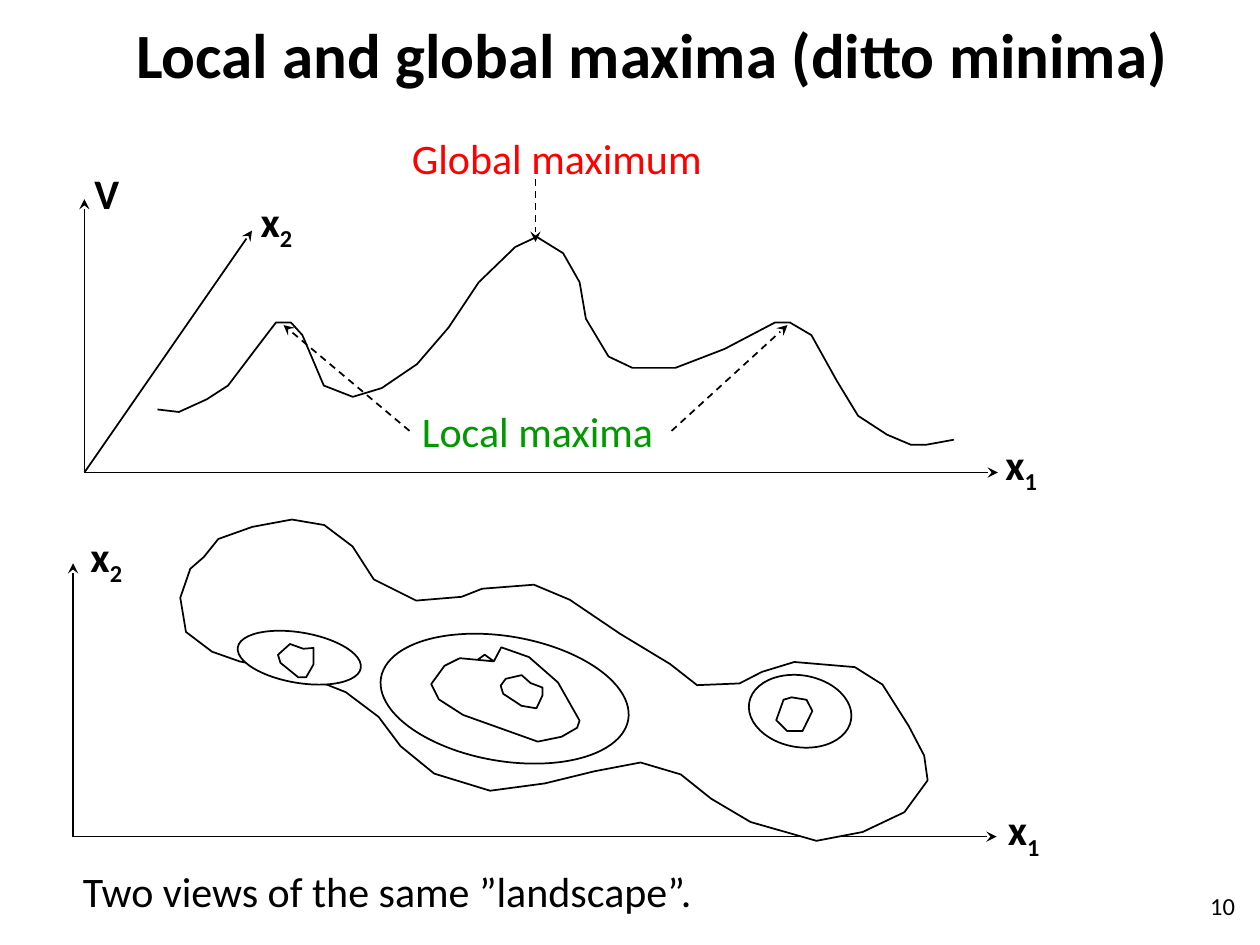
from lxml.etree import SubElement
from pptx import Presentation
from pptx.dml.color import RGBColor
from pptx.enum.dml import MSO_LINE
from pptx.enum.shapes import MSO_CONNECTOR, MSO_SHAPE
from pptx.enum.text import MSO_ANCHOR, PP_ALIGN
from pptx.oxml.ns import qn
from pptx.util import Inches, Pt

COLORS = {"ink": "000000", "paper": "FFFFFF", "peak": "FF0000", "local": "009900"}
FONT = "Calibri"
TILT = 9.6

RIDGE = [
    (125, 225), (142, 227), (164, 217), (181, 206), (206, 173), (219, 156), (231, 156),
    (240, 166), (257, 206), (280, 215), (303, 208), (331, 189), (356, 160), (380, 124),
    (409, 96), (426, 88), (447, 101), (460, 124), (465, 153), (483, 183), (502, 192),
    (536, 192), (575, 177), (615, 156), (627, 156), (644, 166), (664, 202), (681, 230),
    (704, 245), (723, 253), (735, 253), (757, 249)]
COAST = [
    (149, 90), (158, 74), (183, 60), (213, 49), (239, 49), (264, 62), (285, 85),
    (321, 96), (356, 87), (371, 78), (411, 68), (441, 75), (485, 95), (528, 112),
    (552, 125), (585, 118), (601, 106), (625, 94), (673, 90), (697, 100), (723, 129),
    (739, 150), (745, 169), (731, 197), (701, 218), (666, 231), (612, 225), (578, 212),
    (551, 197), (518, 193), (483, 206), (446, 222), (404, 235), (358, 229), (328, 212),
    (307, 192), (278, 177), (236, 168), (191, 167), (168, 163), (145, 151), (136, 125),
    (140, 101), (149, 90)]
CORES = [
    [(247, 112), (239, 114), (228, 112), (220, 122), (223, 128), (239, 137), (245, 136),
     (249, 125), (247, 112)],
    [(420, 141), (412, 136), (400, 141), (397, 147), (400, 153), (416, 160), (428, 160),
     (431, 149), (430, 143), (420, 141)],
    [(644, 162), (638, 154), (626, 154), (620, 157), (617, 174), (627, 181), (639, 179),
     (644, 162)]]
RIM = [
    (388, 127), (361, 129), (350, 137), (342, 153), (350, 164), (371, 173), (433, 184),
    (451, 177), (462, 168), (463, 162), (441, 135), (415, 119), (392, 115), (388, 127),
    (380, 123), (375, 128)]
RINGS = [(3.53, 1.16, 1.24, 0.57), (3.01, 1.05, 1.99, 0.99),
         (1.88, 1.02, 0.99, 0.4), (5.94, 1.36, 0.82, 0.57)]


def tint(name):
    return RGBColor.from_string(COLORS[name])


def label(slide, box, text, sub="", size=24, color="ink", bold=False,
          align=PP_ALIGN.LEFT, anchor=MSO_ANCHOR.TOP, wrap=True):
    frame = slide.shapes.add_textbox(*map(Inches, box)).text_frame
    frame.word_wrap = wrap
    frame.vertical_anchor = anchor
    para = frame.paragraphs[0]
    para.alignment = align
    para.font.name = FONT
    para.font.size = Pt(size)
    para.font.bold = bold
    para.font.color.rgb = tint(color)
    para.add_run().text = text
    if sub:
        run = para.add_run()
        run.text = sub
        run.font._element.set("baseline", "-25000")
    return frame


def arrow(slide, start, end, dashed=False):
    line = slide.shapes.add_connector(
        MSO_CONNECTOR.STRAIGHT, *map(Inches, start + end))
    line.line.color.rgb = tint("ink")
    line.line.width = Pt(1)
    if dashed:
        line.line.dash_style = MSO_LINE.DASH
    SubElement(line.line._get_or_add_ln(), qn("a:tailEnd"), type="stealth")
    SubElement(line._element.spPr, qn("a:effectLst"))


def style(shape, filled=True, turn=TILT):
    shape.shadow.inherit = False
    if filled:
        shape.fill.solid()
        shape.fill.fore_color.rgb = tint("paper")
    else:
        shape.fill.background()
    shape.line.color.rgb = tint("ink")
    shape.line.width = Pt(1)
    shape.rotation = turn


def outline(slide, left, top, points, filled=True, turn=TILT):
    pen = slide.shapes.build_freeform(*points[0], scale=Inches(0.01))
    pen.add_line_segments(points[1:], close=False)
    style(pen.convert_to_shape(Inches(left), Inches(top)), filled, turn)


def side_view(slide, left, top):
    def at(x, y):
        return left + x, top + y

    outline(slide, left, top, RIDGE, filled=False, turn=0)
    base = at(0.67, 2.75)
    for tip in [(0.67, 0.58), (7.92, 2.75), (2, 0.83)]:
        arrow(slide, base, at(*tip))
    label(slide, (*at(0.65, 0.28), 0.5, 0.51), "V", bold=True)
    label(slide, (*at(1.97, 0.5), 0.83, 0.51), "x", "2", bold=True)
    label(slide, (*at(7.88, 2.43), 0.75, 0.51), "x", "1", bold=True)
    label(slide, (*at(3.25, 2.17), 2.42, 0.51), "Local maxima", color="local")
    label(slide, (*at(3.17, 0), 2.75, 0.51), "Global maximum", color="peak")
    for start, end in [((5.33, 2.42), (6.25, 1.58)), ((3.25, 2.42), (2.25, 1.58)),
                       ((4.25, 0.42), (4.25, 0.92))]:
        arrow(slide, at(*start), at(*end), dashed=True)


def top_view(slide, left, top):
    def at(x, y):
        return left + x, top + y

    base = at(0.58, 2.64)
    for tip in [(0.58, 0.47), (7.91, 2.64)]:
        arrow(slide, base, at(*tip))
    label(slide, (*at(0.62, 0.16), 0.54, 0.51), "x", "2", bold=True)
    label(slide, (*at(7.9, 2.33), 0.65, 0.51), "x", "1", bold=True)
    outline(slide, left, top, COAST)
    for x, y, width, height in RINGS:
        box = (*at(x, y), width, height)
        style(slide.shapes.add_shape(MSO_SHAPE.OVAL, *map(Inches, box)))
    for core in CORES:
        outline(slide, left, top, core)
    outline(slide, left, top, RIM, filled=False)


def main():
    deck = Presentation()
    deck.slide_width, deck.slide_height = Inches(10), Inches(7.5)
    slide = deck.slides.add_slide(deck.slide_layouts[6])
    title = label(slide, (0.89, 0.08, 8.57, 0.69), "Local and global maxima (ditto minima)",
                  size=36, bold=True, align=PP_ALIGN.CENTER, anchor=MSO_ANCHOR.MIDDLE)
    title.margin_left = title.margin_right = Inches(0.02)
    side_view(slide, 0, 1)
    top_view(slide, 0, 4)
    label(slide, (0.56, 6.82, 7.08, 0.51), "Two views of the same ”landscape”.")
    label(slide, (9.31, 6.94, 0.59, 0.5), "10", size=14, align=PP_ALIGN.RIGHT,
          anchor=MSO_ANCHOR.MIDDLE, wrap=False)
    deck.save("out.pptx")


if __name__ == "__main__":
    main()
